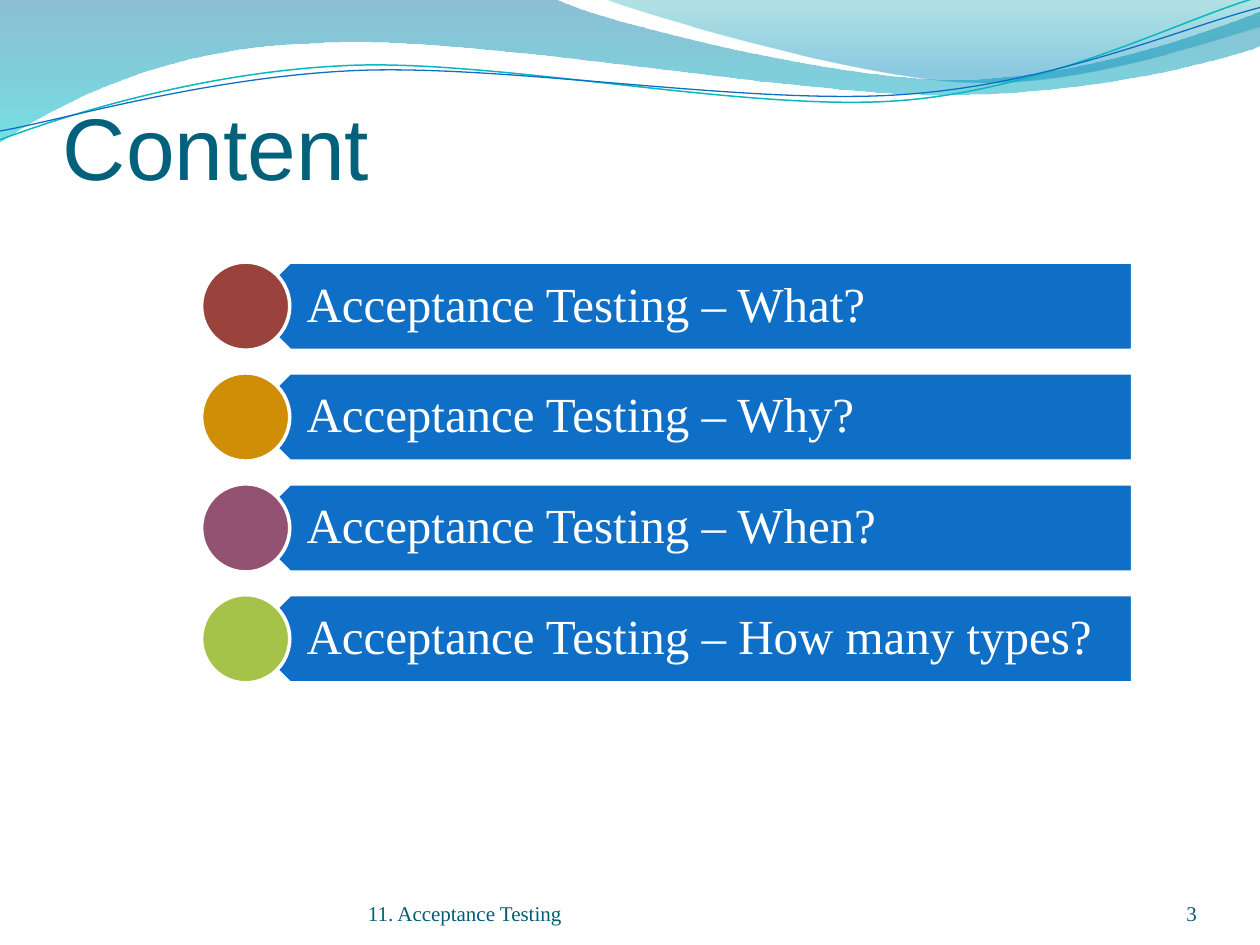
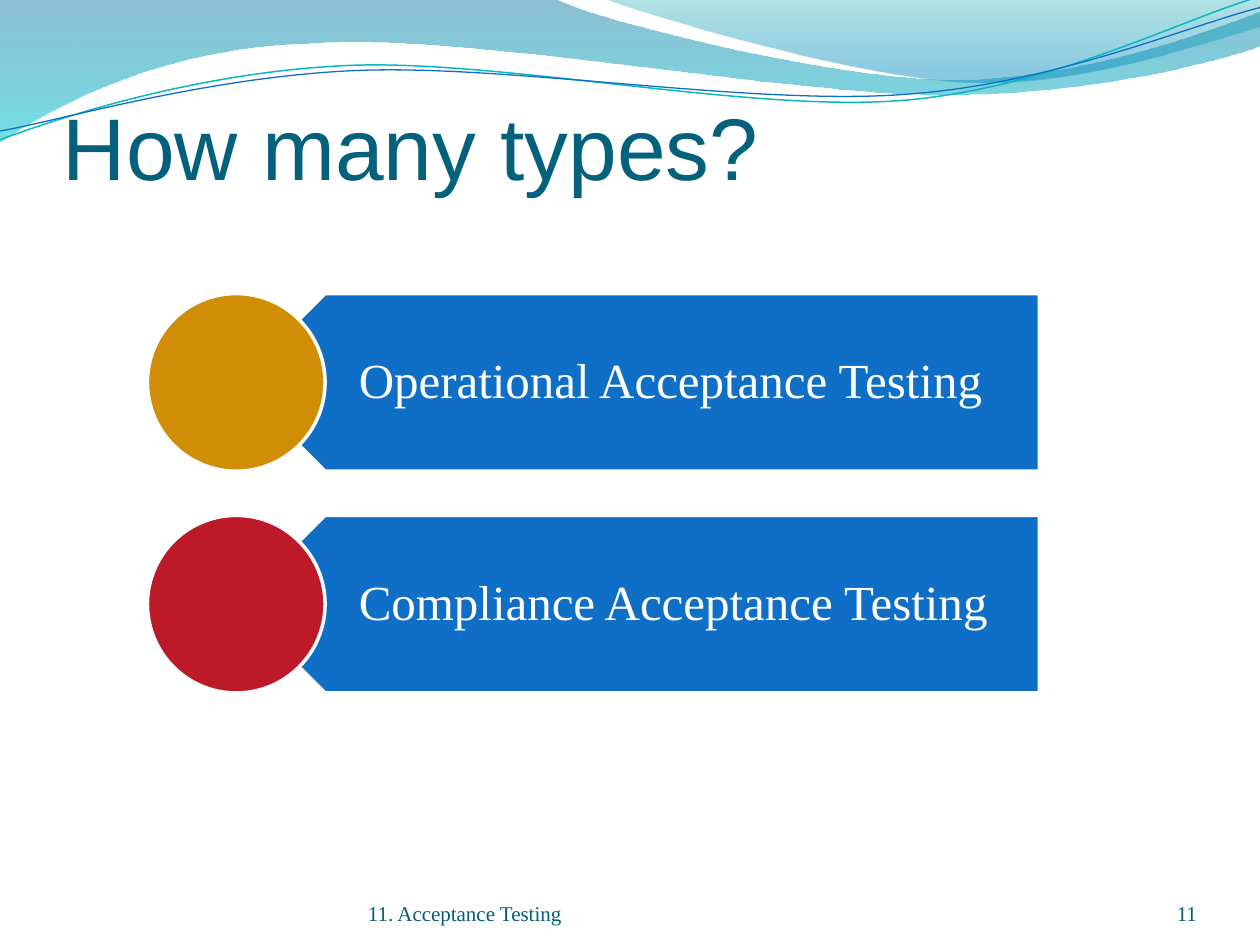
from lxml.etree import SubElement as Sub
from pptx import Presentation
from pptx.dml.color import RGBColor as RGB
from pptx.enum.shapes import MSO_SHAPE as Kind
from pptx.enum.text import MSO_ANCHOR as Anchor, PP_ALIGN as Align
from pptx.oxml.ns import qn
from pptx.util import Emu, Pt

SCALE = 9144
WIDE, HIGH = 1000, 750
SANS, SERIF = "Arial", "Times New Roman"
TITLE, FOOT, BAR, WHITE = "04617B", "045D75", "0F6FC6", "FFFFFF"
RED, GOLD, PLUM, LIME, ROSE = "9A433C", "D08D06", "945273", "A5C249", "BC1A29"

BANDS = [
    ([(0, 0), (440, -1), (476, 17, 664, 63, 758, 63), (853, 63, 958, 26, 1000, 9),
      (1001, 36), (983, 44, 870, 76, 746, 75), (622, 75, 382, 28, 257, 34),
      (129, 36, 46, 83, -1, 113), (0, 0)],
     [(0, "0074A1", 45), (1, "00C6CF", 55)]),
    ([(479, -1), (509, 11, 682, 62, 769, 65), (856, 69, 961, 32, 1000, 21),
      (1000, 0), (479, -1)],
     [(0, "00A1A9", 30), (0.8, "008BBF", 45)]),
]
LINES = [
    ([(0, 111), (48, 93, 158, 57, 277, 52), (395, 47, 593, 89, 713, 80),
      (833, 71, 938, 15, 998, -2)], "0AB8BF", 0.85),
    ([(0, 104), (47, 96, 164, 61, 283, 56), (403, 51, 597, 84, 717, 75),
      (836, 67, 941, 21, 1000, 6)], BAR, 0.75),
]


def px(size):
    """Turn px into EMU."""
    return Emu(round(size * SCALE))


def color(code):
    """Turn a hex string into a colour."""
    return RGB.from_string(code)


def bend(wave, parts):
    """Join the three points of each six-number part into one curve."""
    lines = iter(list(wave._element.iter(qn("a:lnTo"))))
    for part in parts:
        first, *others = [next(lines) for _ in range(len(part) // 2)]
        if others:
            first.tag = qn("a:cubicBezTo")
            for other in others:
                first.append(other[0])
                other.getparent().remove(other)


def add_wave(slide, parts, close):
    """Add an outline of lines (two numbers) and curves (six numbers)."""
    first, *rest = parts
    pen = slide.shapes.build_freeform(*map(px, first))
    spots = [(px(part[i]), px(part[i + 1]))
             for part in rest for i in range(0, len(part), 2)]
    pen.add_line_segments(spots, close=close)
    wave = pen.convert_to_shape()
    wave.shadow.inherit = False
    bend(wave, rest)
    return wave


def add_band(slide, parts, stops):
    """Add a closed wave with a see-through gradient from top to bottom."""
    band = add_wave(slide, parts, True)
    band.line.fill.background()
    band.fill.gradient()
    band.fill.gradient_angle = 270
    for stop, (place, code, _) in zip(band.fill.gradient_stops, stops):
        stop.position = place
        stop.color.rgb = color(code)
    tints = list(band._element.spPr.iter(qn("a:srgbClr")))
    for tint, (_, _, alpha) in zip(tints, stops):
        Sub(tint, qn("a:alpha"), val=str(alpha * 1000))


def add_curve(slide, parts, code, width):
    """Add an open wavy line."""
    curve = add_wave(slide, parts, False)
    curve.fill.background()
    curve.line.color.rgb = color(code)
    curve.line.width = Pt(width)


def add_text(slide, words, box, font, size, code, inset=(0, 0, 0, 0),
             anchor=Anchor.BOTTOM, align=Align.LEFT, space=1.0):
    """Add a text box with one styled run."""
    frame = slide.shapes.add_textbox(*map(px, box)).text_frame
    frame.word_wrap = True
    frame.vertical_anchor = anchor
    (frame.margin_left, frame.margin_top,
     frame.margin_right, frame.margin_bottom) = map(px, inset)
    para = frame.paragraphs[0]
    para.alignment = align
    para.line_spacing = space
    run = para.add_run()
    run.text = words
    run.font.name = font
    run.font.size = Pt(size)
    run.font.color.rgb = color(code)


def add_form(slide, kind, box, code):
    """Add a filled preset shape with a white rim."""
    form = slide.shapes.add_shape(kind, *map(px, box))
    form.shadow.inherit = False
    form.fill.solid()
    form.fill.fore_color.rgb = color(code)
    form.line.color.rgb = color(WHITE)
    form.line.width = Pt(2)
    return form


def add_list(slide, left, top, right, tall, gap, items):
    """Add a column of bars, each led by a coloured disc as tall as the bar."""
    start, inner = left + tall / 2, left + tall * 0.75
    for row, (words, code) in enumerate(items):
        y = top + row * (tall + gap)
        bar = add_form(slide, Kind.PENTAGON, (start, y, right - start, tall), BAR)
        bar.rotation = 180
        add_text(slide, words, (inner, y, right - inner, tall), SERIF, 28, WHITE,
                 (tall * 0.44, 12, 22, 12), Anchor.MIDDLE, space=0.9)
        add_form(slide, Kind.OVAL, (left, y, tall, tall), code)


def add_page(deck, title, number):
    """Add a slide with the shared waves, title and footer."""
    slide = deck.slides.add_slide(deck.slide_layouts[6])
    for band in BANDS:
        add_band(slide, *band)
    for line in LINES:
        add_curve(slide, *line)
    add_text(slide, title, (50, 67, 900, 90), SANS, 50, TITLE, (0, 5, 0, 0))
    add_text(slide, "11. Acceptance Testing", (292, 695, 367, 40), SERIF, 12, FOOT)
    add_text(slide, number, (867, 695, 83, 40), SERIF, 12, FOOT, align=Align.RIGHT)
    return slide


def main():
    """Build both slides and save the deck."""
    deck = Presentation()
    deck.slide_width, deck.slide_height = px(WIDE), px(HIGH)
    add_list(add_page(deck, "Content", "3"), 160, 208, 899, 70, 18, [
        ("Acceptance Testing – What?", RED),
        ("Acceptance Testing – Why?", GOLD),
        ("Acceptance Testing – When?", PLUM),
        ("Acceptance Testing – How many types?", LIME),
    ])
    add_list(add_page(deck, "How many types?", "11"), 117, 233, 825, 141, 35, [
        ("Operational Acceptance Testing", GOLD),
        ("Compliance Acceptance Testing", ROSE),
    ])
    deck.save("out.pptx")


if __name__ == "__main__":
    main()
